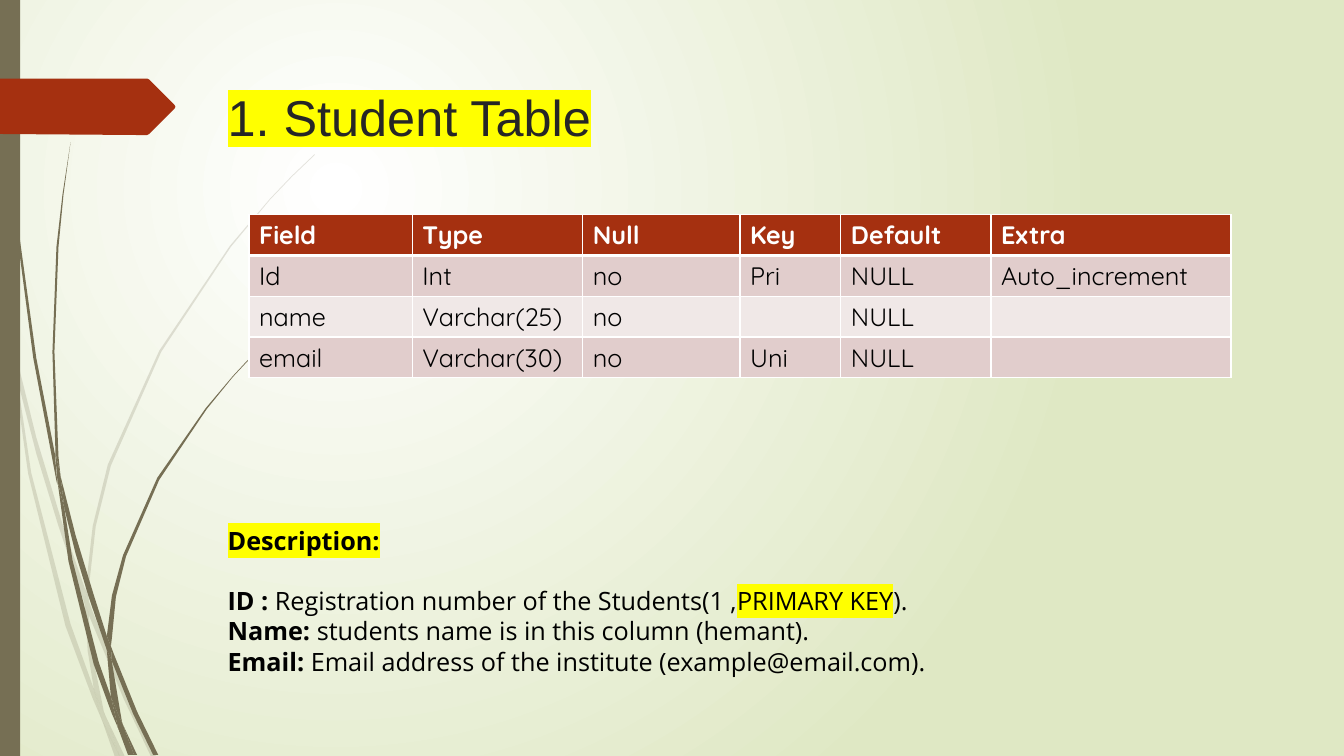
from dataclasses import dataclass

from lxml.etree import SubElement
from pptx import Presentation
from pptx.dml.color import RGBColor
from pptx.enum.shapes import MSO_SHAPE
from pptx.oxml import parse_xml
from pptx.oxml.ns import nsdecls, qn
from pptx.util import Inches, Pt

COLORS = {
    "white": "FFFFFF", "sage": "DFE8C4", "olive": "766F54", "rust": "A53010",
    "title": "262626", "black": "000000", "marker": "FFFF00",
    "odd_row": "E1CDCC", "even_row": "F0E8E7",
}
Outline = list[tuple[float, float]]


@dataclass
class Grass:
    """A tuft of blades, each an outline in inches."""
    opacity: int
    blades: list[Outline]


@dataclass
class TextRun:
    text: str
    bold: bool = False
    marked: bool = False


@dataclass
class Line:
    runs: list[TextRun]
    space_before: float = 0


PALE_GRASS = Grass(20, [
    [(.11, 3.5), (.09, 3.22), (0, 2.82), (0, 2.99), (.1, 3.44)],
    [(.58, 5.22), (.84, 5.99), (.85, 5.86), (.62, 5.2), (.36, 4.34), (.14, 3.45),
     (.17, 3.76), (.36, 4.5)],
    [(.92, 6.07), (.88, 5.96), (.88, 6.1), (1.23, 6.94), (1.5, 7.51), (1.55, 7.51),
     (1.27, 6.92)],
    [(1.19, 7.51), (1.24, 7.51), (1.05, 7.11)],
    [(.93, 6.83), (.7, 6.19), (.31, 4.69), (.17, 3.76), (.11, 3.5), (.28, 4.7),
     (.65, 6.21), (.92, 6.93), (1.01, 7.14), (.99, 7.07)],
    [(.84, 5.99), (.87, 6.46), (.93, 6.83), (.96, 6.92), (1.05, 7.11), (1.03, 7.06),
     (.91, 6.46), (.88, 6.1), (.88, 6.08)],
    [(.88, 5.84), (.95, 5.22), (1.1, 4.62), (1.6, 3.49), (2.29, 2.45), (2.68, 1.98),
     (2.9, 1.75), (3.12, 1.54), (3.12, 1.53), (2.89, 1.75), (2.68, 1.97), (2.28, 2.44),
     (1.58, 3.48), (1.07, 4.61), (.92, 5.22), (.85, 5.84), (.85, 5.86), (.88, 5.96)],
    [(1.01, 7.14), (1.14, 7.51), (1.19, 7.51)],
    [(.88, 6.08), (.88, 6.1), (.88, 5.96), (.85, 5.86), (.84, 5.99)],
    [(.96, 6.92), (.93, 6.83), (.99, 7.07), (1.01, 7.14), (1.19, 7.51), (1.05, 7.11)],
])
DARK_GRASS = Grass(100, [
    [(.07, 1.1), (.17, 2.33), (.33, 3.55), (.56, 4.77), (.57, 4.81), (.55, 4.57),
     (.55, 4.53), (.36, 3.55), (.19, 2.32), (.08, 1.09), (.05, .48), (.04, 0),
     (.03, 0), (.04, .48)],
    [(.88, 5.92), (1.06, 6.45), (1.06, 6.31), (.93, 5.9), (.75, 5.31), (.6, 4.72),
     (.64, 5.05), (.75, 5.49)],
    [(1.13, 6.49), (1.1, 6.41), (1.11, 6.56), (1.32, 7.08), (1.52, 7.49), (1.57, 7.49),
     (1.36, 7.06)],
    [(1.1, 6.91), (.98, 6.57), (.72, 5.56), (.64, 5.05), (.57, 4.77), (.68, 5.57),
     (.93, 6.59), (1.11, 7.08), (1.17, 7.22), (1.16, 7.17)],
    [(.6, 4.72), (.58, 4.53), (.54, 3.49), (.58, 2.45), (.63, 1.93), (.7, 1.41),
     (.62, 1.93), (.56, 2.45), (.52, 3.49), (.55, 4.49)],
    [(1.33, 7.49), (1.36, 7.49), (1.22, 7.19)],
    [(.57, 4.77), (.64, 5.05), (.6, 4.72), (.55, 4.49), (.55, 4.53)],
    [(1.11, 6.33), (1.15, 5.92), (1.25, 5.52), (1.58, 4.76), (2.05, 4.06), (2.31, 3.74),
     (2.45, 3.59), (2.61, 3.44), (2.6, 3.44), (2.45, 3.58), (2.31, 3.73), (2.04, 4.05),
     (1.56, 4.74), (1.22, 5.51), (1.11, 5.91), (1.06, 6.31), (1.1, 6.41)],
    [(1.17, 7.22), (1.27, 7.49), (1.31, 7.49)],
    [(1.06, 6.45), (1.1, 6.91), (1.16, 7.06), (1.22, 7.19), (1.21, 7.16), (1.11, 6.56),
     (1.09, 6.51)],
    [(1.06, 6.45), (1.09, 6.51), (1.11, 6.56), (1.1, 6.41), (1.06, 6.31)],
    [(1.16, 7.06), (1.1, 6.91), (1.16, 7.17), (1.17, 7.22), (1.3, 7.49), (1.33, 7.49),
     (1.22, 7.19)],
])
ARROW = [(1.74, 1.06), (1.73, 1.08), (1.48, 1.33), (1.46, 1.34), (1.36, 1.34), (0, 1.33),
         (0, .78), (1.46, .78), (1.48, .79), (1.73, 1.04)]

FIELD_ROWS = [
    ["Field", "Type", "Null", "Key", "Default", "Extra"],
    ["Id", "Int", "no", "Pri", "NULL", "Auto_increment"],
    ["name", "Varchar(25)", "no", "", "NULL", ""],
    ["email", "Varchar(30)", "no", "Uni", "NULL", ""],
]
COLUMN_WIDTHS = [1.62, 1.69, 1.56, 1, 1.49, 2.38]
TABLE_HEIGHT = 1.62

TITLE = [Line([TextRun("1. Student Table", marked=True)])]
DESCRIPTION = [
    Line([TextRun("Description:", bold=True, marked=True)]),
    Line([TextRun("ID :", bold=True),
          TextRun(" Registration number of the Students(1 ,"),
          TextRun("PRIMARY KEY", marked=True), TextRun(").")], space_before=21.5),
    Line([TextRun("Name: ", bold=True),
          TextRun("students name is in this column (hemant).")]),
    Line([TextRun("Email:", bold=True),
          TextRun(" Email address of the institute (example@email.com).")]),
]


def rgb(name: str) -> RGBColor:
    return RGBColor.from_string(COLORS[name])


def style_font(font, face: str, size: float, color: str, bold: bool = False) -> None:
    font.name, font.size, font.bold = face, Pt(size), bold
    font.color.rgb = rgb(color)


def paint(shape, color: str) -> None:
    shape.shadow.inherit = False
    shape.fill.solid()
    shape.fill.fore_color.rgb = rgb(color)
    shape.line.fill.background()


def paint_background(slide) -> None:
    """Spread a round gradient from the upper left of the slide."""
    fill = slide.background.fill
    fill.gradient()
    for stop, position, color in zip(fill.gradient_stops, (0, 1), ("white", "sage")):
        stop.position, stop.color.rgb = position, rgb(color)
    linear = next(slide.element.iter(qn("a:lin")))
    linear.getparent().replace(linear, parse_xml(
        f'<a:path {nsdecls("a")} path="circle"><a:fillToRect l="50000" t="50000" '
        'r="100000" b="100000"/></a:path>'))


def draw_outline(slide, outline: Outline, color: str):
    points = [(Inches(x), Inches(y)) for x, y in outline]
    builder = slide.shapes.build_freeform(*points[0])
    builder.add_line_segments(points[1:], close=True)
    shape = builder.convert_to_shape()
    paint(shape, color)
    return shape


def draw_grass(slide, grass: Grass) -> None:
    for blade in grass.blades:
        shape = draw_outline(slide, blade, "olive")
        if grass.opacity < 100:
            color = shape.element.spPr.find(f"{qn('a:solidFill')}/{qn('a:srgbClr')}")
            SubElement(color, qn("a:alpha"), val=str(grass.opacity * 1000))


def draw_text(slide, box: tuple, lines: list[Line], face: str, size: float,
              color: str, spacing: float = 1) -> None:
    text_frame = slide.shapes.add_textbox(*map(Inches, box)).text_frame
    text_frame.word_wrap = True
    for index, line in enumerate(lines):
        paragraph = text_frame.add_paragraph() if index else text_frame.paragraphs[0]
        paragraph.line_spacing = spacing
        paragraph.space_before = Pt(line.space_before)
        for part in line.runs:
            run = paragraph.add_run()
            run.text = part.text
            style_font(run.font, face, size, color, part.bold)
            if part.marked:
                run.font._element.find(qn("a:solidFill")).addnext(parse_xml(
                    f'<a:highlight {nsdecls("a")}><a:srgbClr val="{COLORS["marker"]}"/>'
                    '</a:highlight>'))


def border_cell(cell, top: float, bottom: float) -> None:
    properties = cell._tc.get_or_add_tcPr()
    for index, (side, width) in enumerate(zip("LRTB", (1, 1, top, bottom))):
        properties.insert(index, parse_xml(
            f'<a:ln{side} {nsdecls("a")} w="{Pt(width)}"><a:solidFill>'
            f'<a:srgbClr val="{COLORS["white"]}"/></a:solidFill></a:ln{side}>'))


def draw_field_table(slide, left: float, top: float) -> None:
    box = (left, top, sum(COLUMN_WIDTHS), TABLE_HEIGHT)
    table = slide.shapes.add_table(
        len(FIELD_ROWS), len(COLUMN_WIDTHS), *map(Inches, box)).table
    for column, width in zip(table.columns, COLUMN_WIDTHS):
        column.width = Inches(width)
    for row, texts in enumerate(FIELD_ROWS):
        header = row == 0
        fill = "rust" if header else ("even_row", "odd_row")[row % 2]
        for column, text in enumerate(texts):
            cell = table.cell(row, column)
            cell.text = text
            cell.fill.solid()
            cell.fill.fore_color.rgb = rgb(fill)
            paragraph = cell.text_frame.paragraphs[0]
            for holder in (paragraph, *paragraph.runs):
                style_font(holder.font, "Quicksand", 18,
                           "white" if header else "black", header)
            border_cell(cell, 3 if row == 1 else 1, 3 if header else 1)


def main() -> None:
    presentation = Presentation()
    presentation.slide_width, presentation.slide_height = Inches(13.33), Inches(7.5)
    slide = presentation.slides.add_slide(presentation.slide_layouts[6])
    paint_background(slide)
    for grass in (PALE_GRASS, DARK_GRASS):
        draw_grass(slide, grass)
    edge_bar = slide.shapes.add_shape(
        MSO_SHAPE.RECTANGLE, 0, 0, Inches(.2), presentation.slide_height)
    paint(edge_bar, "olive")
    draw_outline(slide, ARROW, "rust")
    draw_text(slide, (2.16, .8, 5.39, .92), TITLE, "Arial", 36, "title")
    draw_text(slide, (2.16, 5.16, 8.53, 1.62), DESCRIPTION, "Open Sans", 18, "black")
    draw_field_table(slide, 2.47, 2.13)
    presentation.save("out.pptx")


if __name__ == "__main__":
    main()
